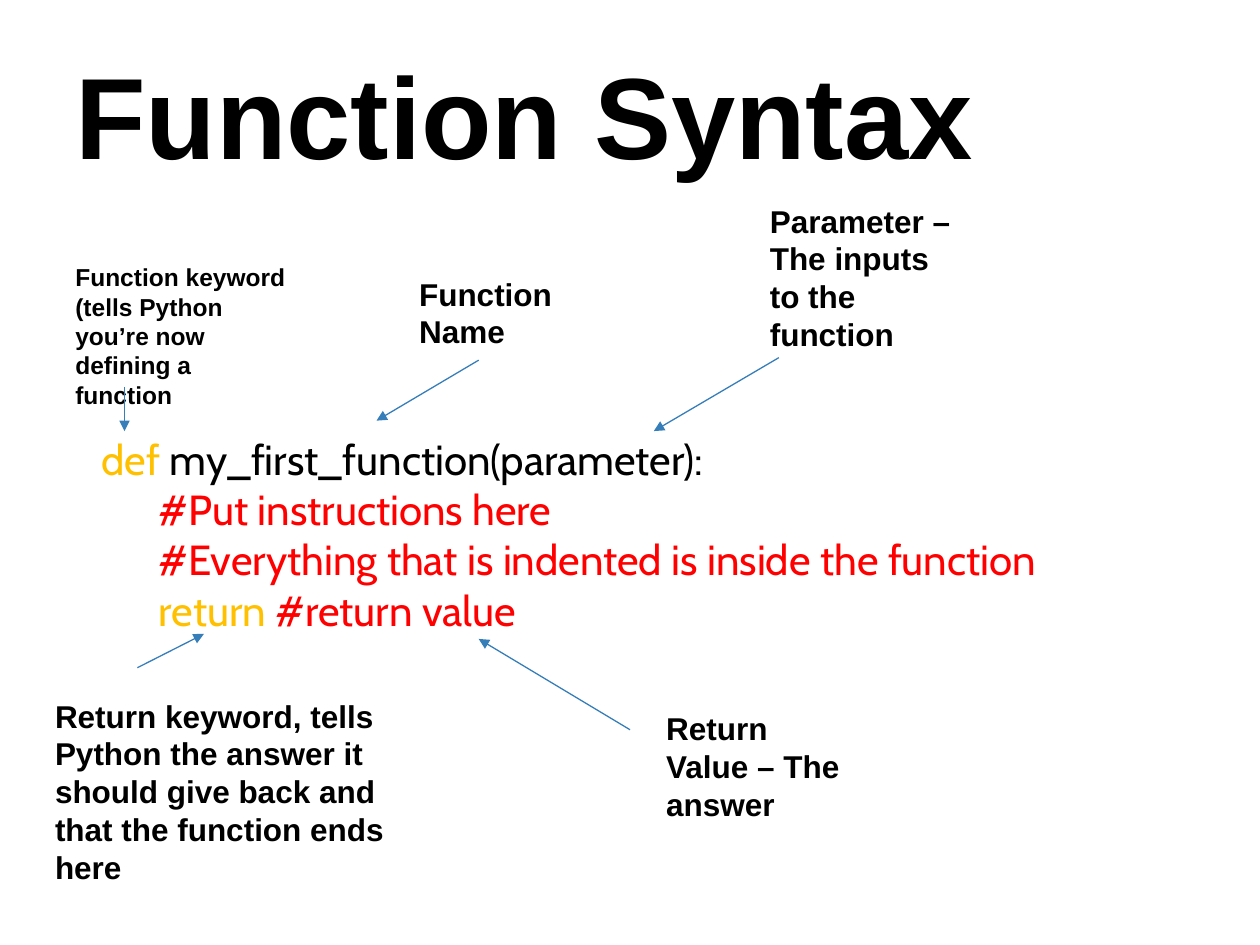
from dataclasses import dataclass

from lxml import etree
from pptx import Presentation
from pptx import util as u
from pptx.dml.color import RGBColor
from pptx.enum import shapes, text
from pptx.oxml.ns import qn


@dataclass(frozen=True)
class Theme:
    label_font: str = "Arial"
    code_font: str = "Cabin"
    title_size: float = 66
    code_size: float = 24
    label_size: float = 18
    small_size: float = 14
    arrow_width: float = 0.75
    ink: str = "000000"
    keyword: str = "FFC000"
    comment: str = "FF0000"
    arrow: str = "367EB9"


@dataclass(frozen=True)
class Label:
    lines: tuple[str, ...]
    box: tuple[float, float, float, float]
    size: float
    arrow_from: tuple[float, float]
    arrow_to: tuple[float, float]


@dataclass(frozen=True)
class CodeLine:
    pieces: tuple[tuple[str, str], ...]
    indented: bool = True


THEME = Theme()
CODE_INDENT = u.Cm(1.15)
CODE_INSET = u.Cm(0.25)

CODE = (
    CodeLine((("def ", THEME.keyword), ("my_first_function(parameter):", THEME.ink)), indented=False),
    CodeLine((("#Put instructions here", THEME.comment),)),
    CodeLine((("#Everything that is indented is inside the function", THEME.comment),)),
    CodeLine((("return", THEME.keyword), (" #return value", THEME.comment))),
)

# Boxes and arrow ends are in centimetres.
LABELS = (
    Label(("Function keyword", "(tells Python you’re now defining a function"),
          (1.27, 5.16, 4.9, 2.64), THEME.small_size, (2.51, 7.8), (2.51, 8.69)),
    Label(("Function", "Name"),
          (8.2, 5.41, 4.17, 1.8), THEME.label_size, (9.65, 7.26), (7.59, 8.48)),
    Label(("Parameter – The inputs to the function",),
          (15.27, 3.94, 4.17, 3.33), THEME.label_size, (15.7, 7.21), (13.18, 8.69)),
    Label(("Return keyword, tells Python the answer it should give back "
           "and that the function ends here",),
          (0.86, 13.92, 7.67, 4.11), THEME.label_size, (2.77, 13.46), (4.11, 12.78)),
    Label(("Return Value – The answer",),
          (13.18, 14.17, 4.17, 2.57), THEME.label_size, (12.7, 14.71), (9.65, 12.88)),
)


def apply_format(target, values: dict) -> None:
    for name, value in values.items():
        setattr(target, name, value)


def add_run(paragraph, words: str, font: str, size: float, color: str, bold: bool) -> None:
    run = paragraph.add_run()
    run.text = words
    apply_format(run.font, {"name": font, "size": u.Pt(size), "bold": bold})
    run.font.color.rgb = RGBColor.from_string(color)


def next_paragraph(frame, index: int):
    """Return the paragraph a text frame starts with, then new ones."""
    return frame.add_paragraph() if index else frame.paragraphs[0]


def place(placeholder, left: float, top: float, width: float, height: float, anchor) -> None:
    apply_format(placeholder, {"left": u.Cm(left), "top": u.Cm(top),
                               "width": u.Cm(width), "height": u.Cm(height)})
    apply_format(placeholder.text_frame, {
        "word_wrap": True, "auto_size": text.MSO_AUTO_SIZE.NONE, "vertical_anchor": anchor,
        "margin_left": CODE_INSET, "margin_right": CODE_INSET,
        "margin_top": CODE_INSET, "margin_bottom": CODE_INSET})


def fill_title(title) -> None:
    place(title, 1.27, 0.76, 22.86, 3.18, text.MSO_ANCHOR.BOTTOM)
    heading = title.text_frame.paragraphs[0]
    heading.alignment = text.PP_ALIGN.LEFT
    add_run(heading, "Function Syntax", THEME.label_font, THEME.title_size, THEME.ink, True)


def fill_code(body) -> None:
    place(body, 1.8, 8.48, 21.82, 4.98, text.MSO_ANCHOR.TOP)
    for index, line in enumerate(CODE):
        paragraph = next_paragraph(body.text_frame, index)
        apply_format(paragraph, {"space_before": u.Pt(0), "line_spacing": 1.0})
        properties = paragraph._p.get_or_add_pPr()
        properties.set("marL", str(int(CODE_INDENT) if line.indented else 0))
        properties.set("indent", "0")
        etree.SubElement(properties, qn("a:buNone"))
        for words, color in line.pieces:
            add_run(paragraph, words, THEME.code_font, THEME.code_size, color, False)


def add_label(slide, label: Label) -> None:
    frame = slide.shapes.add_textbox(*map(u.Cm, label.box)).text_frame
    apply_format(frame, {"word_wrap": True, "auto_size": text.MSO_AUTO_SIZE.SHAPE_TO_FIT_TEXT})
    for index, words in enumerate(label.lines):
        add_run(next_paragraph(frame, index), words, THEME.label_font, label.size, THEME.ink, True)


def add_arrow(slide, label: Label) -> None:
    arrow = slide.shapes.add_connector(
        shapes.MSO_CONNECTOR.STRAIGHT, *map(u.Cm, label.arrow_from + label.arrow_to))
    arrow.line.width = u.Pt(THEME.arrow_width)
    arrow.line.color.rgb = RGBColor.from_string(THEME.arrow)
    etree.SubElement(arrow.line._get_or_add_ln(), qn("a:tailEnd"), type="triangle")
    etree.SubElement(arrow._element.spPr, qn("a:effectLst"))


def main() -> None:
    deck = Presentation()
    apply_format(deck, {"slide_width": u.Cm(25.4), "slide_height": u.Cm(19.05)})
    slide = deck.slides.add_slide(deck.slide_layouts[1])
    fill_title(slide.shapes.title)
    fill_code(slide.placeholders[1])
    for label in LABELS:
        add_label(slide, label)
    for label in LABELS:
        add_arrow(slide, label)
    deck.save("out.pptx")


if __name__ == "__main__":
    main()
